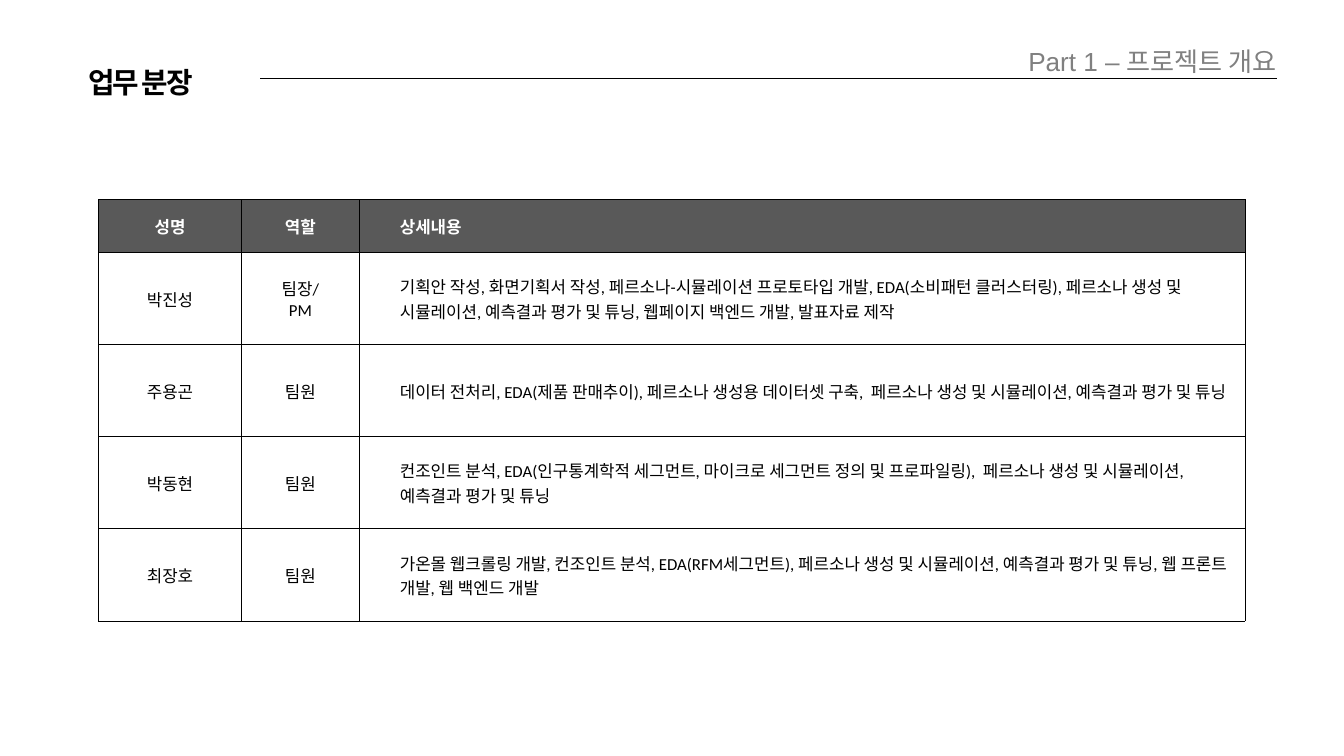
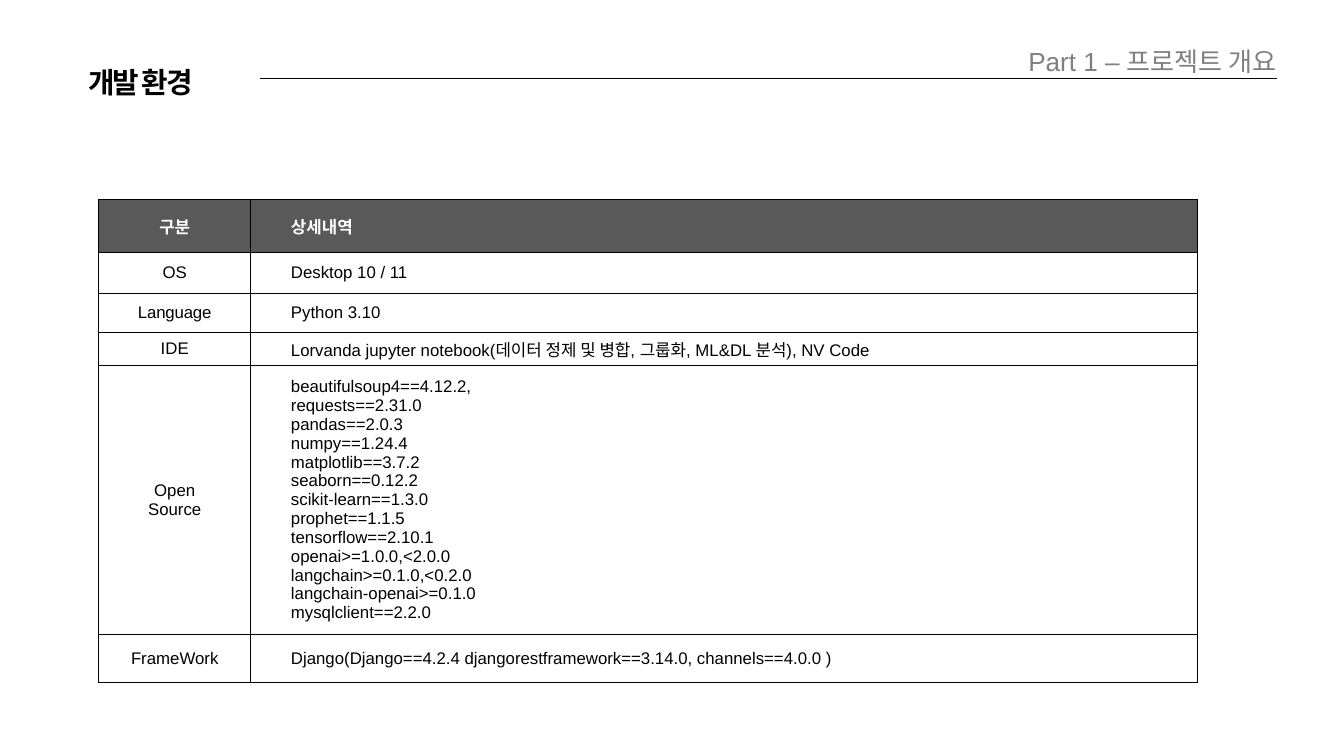
import pptx
import pptx.dml.color
import pptx.enum.shapes
import pptx.enum.text
import pptx.oxml
import pptx.oxml.ns
import pptx.util
from pptx.util import Inches

RGBColor = pptx.dml.color.RGBColor
ALIGN = pptx.enum.text.PP_ALIGN
BLACK = RGBColor(0x00, 0x00, 0x00)
WHITE = RGBColor(0xFF, 0xFF, 0xFF)
GRAY = RGBColor(0x80, 0x80, 0x80)
HEADER_GRAY = RGBColor(0x59, 0x59, 0x59)

PART = "Part 1 – 프로젝트 개요"
HEADING_BOX = (1.31, 0.6, 17.69, 0.83)
TABLE_CORNER = (1.47, 2.97)
OUTER_BORDER, INNER_BORDER = 0.75, 1

DUTIES = [
    ["성명", "역할", "상세내용"],
    ["박진성", "팀장/\nPM",
     "기획안 작성, 화면기획서 작성, 페르소나-시뮬레이션 프로토타입 개발, "
     "EDA(소비패턴 클러스터링), 페르소나 생성 및 시뮬레이션, 예측결과 평가 및 튜닝, "
     "웹페이지 백엔드 개발, 발표자료 제작"],
    ["주용곤", "팀원",
     "데이터 전처리, EDA(제품 판매추이), 페르소나 생성용 데이터셋 구축,  "
     "페르소나 생성 및 시뮬레이션, 예측결과 평가 및 튜닝"],
    ["박동현", "팀원",
     "컨조인트 분석, EDA(인구통계학적 세그먼트, 마이크로 세그먼트 정의 및 프로파일링),  "
     "페르소나 생성 및 시뮬레이션, 예측결과 평가 및 튜닝"],
    ["최장호", "팀원",
     "가온몰 웹크롤링 개발, 컨조인트 분석, EDA(RFM세그먼트), 페르소나 생성 및 시뮬레이션, "
     "예측결과 평가 및 튜닝, 웹 프론트 개발, 웹 백엔드 개발"],
]

PACKAGES = [
    "beautifulsoup4==4.12.2,", "requests==2.31.0", "pandas==2.0.3", "numpy==1.24.4",
    "matplotlib==3.7.2", "seaborn==0.12.2", "scikit-learn==1.3.0", "prophet==1.1.5",
    "tensorflow==2.10.1", "openai>=1.0.0,<2.0.0", "langchain>=0.1.0,<0.2.0",
    "langchain-openai>=0.1.0", "mysqlclient==2.2.0",
]

ENVIRONMENT = [
    ["구분", "상세내역"],
    ["OS", "Desktop 10 / 11"],
    ["Language", "Python 3.10"],
    ["IDE", "Lorvanda jupyter notebook(데이터 정제 및 병합, 그룹화, ML&DL 분석), NV Code"],
    ["Open\nSource", "\n".join(PACKAGES)],
    ["FrameWork", "Django(Django==4.2.4 djangorestframework==3.14.0, channels==4.0.0 )"],
]


def write_text(frame, text, size=18, font="Arial", color=BLACK, bold=False,
               align=ALIGN.LEFT, line_spacing=None, tracking=None, indent=None):
    for index, line in enumerate(text.split("\n")):
        paragraph = frame.add_paragraph() if index else frame.paragraphs[0]
        paragraph.alignment = align
        if line_spacing:
            paragraph.line_spacing = pptx.util.Pt(line_spacing)
        if indent:
            paragraph.level = 1
            properties = paragraph._p.get_or_add_pPr()
            properties.set("marL", str(Inches(indent)))
            properties.set("indent", "0")
        run = paragraph.add_run()
        run.text = line
        run.font.size = pptx.util.Pt(size)
        run.font.name = font
        run.font.bold = bold
        run.font.color.rgb = color
        if tracking:
            run._r.get_or_add_rPr().set("spc", str(int(tracking * 100)))


def add_label(slide, box, text, **text_format):
    frame = slide.shapes.add_textbox(*map(Inches, box)).text_frame
    frame.margin_left = frame.margin_top = frame.margin_right = frame.margin_bottom = 0
    frame.word_wrap = True
    frame.auto_size = pptx.enum.text.MSO_AUTO_SIZE.SHAPE_TO_FIT_TEXT
    write_text(frame, text, **text_format)


def add_heading(slide, box, title):
    left, top, width, height = box
    right = left + width
    rule_y = Inches(top + 0.57)
    rule = slide.shapes.add_connector(pptx.enum.shapes.MSO_CONNECTOR.STRAIGHT,
                                      Inches(left + 2.56), rule_y, Inches(right), rule_y)
    rule.line.color.rgb = BLACK
    rule.line.width = pptx.util.Pt(0.75)
    rule._element.spPr.append(pptx.oxml.parse_xml(
        f'<a:effectLst {pptx.oxml.ns.nsdecls("a")}/>'))
    add_label(slide, (left, top + 0.27, 4.09, height - 0.27), title,
              size=30.9, bold=True, line_spacing=43.3, tracking=-2)
    add_label(slide, (right - 6.34, top, 6.34, 0.51), PART,
              size=28, color=GRAY, align=ALIGN.RIGHT, line_spacing=39.4)


def set_borders(cell, widths):
    properties = cell._tc.get_or_add_tcPr()
    for position, (side, width) in enumerate(widths.items()):
        properties.insert(position, pptx.oxml.parse_xml(
            f'<a:{side} {pptx.oxml.ns.nsdecls("a")} w="{pptx.util.Pt(width)}">'
            f'<a:solidFill><a:srgbClr val="{BLACK}"/></a:solidFill></a:{side}>'))


def add_detail_table(slide, corner, rows, column_widths, row_heights, body_font):
    extent = (sum(column_widths), sum(row_heights))
    table = slide.shapes.add_table(len(rows), len(column_widths),
                                   *map(Inches, corner + extent)).table
    table.first_row = table.horz_banding = False
    for column, width in zip(table.columns, column_widths):
        column.width = Inches(width)
    for row, height in zip(table.rows, row_heights):
        row.height = Inches(height)

    last = len(column_widths) - 1
    for row_index, texts in enumerate(rows):
        is_header = row_index == 0
        for column_index, text in enumerate(texts):
            is_detail = column_index == last
            cell = table.cell(row_index, column_index)
            cell.vertical_anchor = pptx.enum.text.MSO_ANCHOR.MIDDLE
            if is_header:
                cell.fill.solid()
                cell.fill.fore_color.rgb = HEADER_GRAY
            else:
                cell.fill.background()
            set_borders(cell, {
                "lnL": INNER_BORDER if column_index else OUTER_BORDER,
                "lnR": OUTER_BORDER if is_detail else INNER_BORDER,
                "lnT": OUTER_BORDER,
                "lnB": OUTER_BORDER,
            })
            write_text(cell.text_frame, text,
                       font="Calibri" if is_header else body_font,
                       color=WHITE if is_header else BLACK, bold=is_header,
                       align=ALIGN.LEFT if is_detail else ALIGN.CENTER,
                       indent=0.5 if is_detail else None,
                       tracking=-0.2 if text == "Language" else None)


def add_table_slide(deck, title, rows, column_widths, row_heights, body_font):
    slide = deck.slides.add_slide(deck.slide_layouts[6])
    add_heading(slide, HEADING_BOX, title)
    add_detail_table(slide, TABLE_CORNER, rows, column_widths, row_heights, body_font)


def main():
    deck = pptx.Presentation()
    deck.slide_width, deck.slide_height = Inches(20), Inches(11.25)
    add_table_slide(deck, "업무 분장", DUTIES, [2.12, 1.76, 13.18],
                    [0.79] + [1.37] * 4, "Calibri")
    add_table_slide(deck, "개발 환경", ENVIRONMENT, [2.26, 14.09],
                    [0.79, 0.6, 0.59, 0.49, 4, 0.71], "Arial")
    deck.save("out.pptx")


if __name__ == "__main__":
    main()
